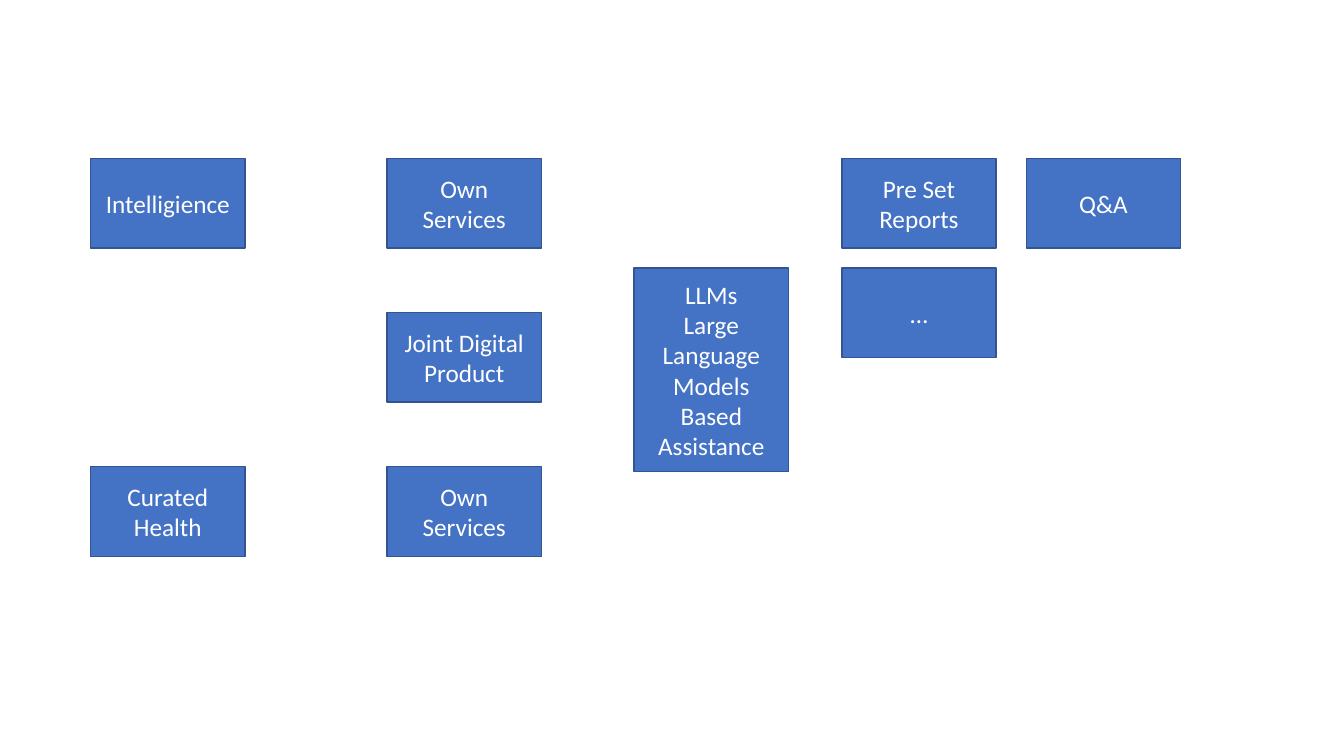
from pptx import Presentation
from pptx.dml.color import RGBColor
from pptx.enum.shapes import MSO_SHAPE
from pptx.enum.text import MSO_ANCHOR, PP_ALIGN
from pptx.util import Inches, Pt

BLUE = RGBColor(0x44, 0x72, 0xC4)
DARK_BLUE = RGBColor(0x32, 0x54, 0x91)
WHITE = RGBColor(0xFF, 0xFF, 0xFF)

BOX_WIDTH, BOX_HEIGHT = 1.53, 0.89
SOURCES, SERVICES, ASSISTANT, REPORTS, QUESTIONS = 0.9, 3.84, 6.29, 8.35, 10.18
TOP, MIDDLE, BOTTOM = (1.57 + 1.53 * row for row in range(3))
SECOND_OUTPUT = 2.66

BOXES = [
    (SOURCES, TOP, "Intelligience"),
    (SOURCES, BOTTOM, "Curated Health"),
    (SERVICES, MIDDLE, "Joint Digital Product"),
    (SERVICES, TOP, "Own Services"),
    (SERVICES, BOTTOM, "Own Services"),
    (REPORTS, TOP, "Pre Set Reports"),
    (QUESTIONS, TOP, "Q&A"),
    (REPORTS, SECOND_OUTPUT, "…"),
]


class Diagram:
    font = "Calibri"
    size = Pt(18)

    def __init__(self, page):
        self.page = page

    def box(self, left, top, *lines, height=BOX_HEIGHT):
        """Draw a filled box with one centred paragraph per line."""
        box = self.page.shapes.add_shape(
            MSO_SHAPE.RECTANGLE, Inches(left), Inches(top),
            Inches(BOX_WIDTH), Inches(height))
        box.shadow.inherit = False
        box.fill.solid()
        box.fill.fore_color.rgb = BLUE
        box.line.color.rgb = DARK_BLUE
        box.line.width = Pt(1)
        frame = box.text_frame
        frame.word_wrap = True
        frame.vertical_anchor = MSO_ANCHOR.MIDDLE
        for index, line in enumerate(lines):
            para = frame.add_paragraph() if index else frame.paragraphs[0]
            para.alignment = PP_ALIGN.CENTER
            span = para.add_run()
            span.text = line
            span.font.name = self.font
            span.font.size = self.size
            span.font.color.rgb = WHITE


def main():
    deck = Presentation()
    deck.slide_width, deck.slide_height = Inches(13.33), Inches(7.5)
    diagram = Diagram(deck.slides.add_slide(deck.slide_layouts[6]))
    for left, top, label in BOXES:
        diagram.box(left, top, label)
    diagram.box(ASSISTANT, SECOND_OUTPUT, "LLMs",
                "Large Language Models Based Assistance", height=2.02)
    deck.save("out.pptx")


if __name__ == "__main__":
    main()
